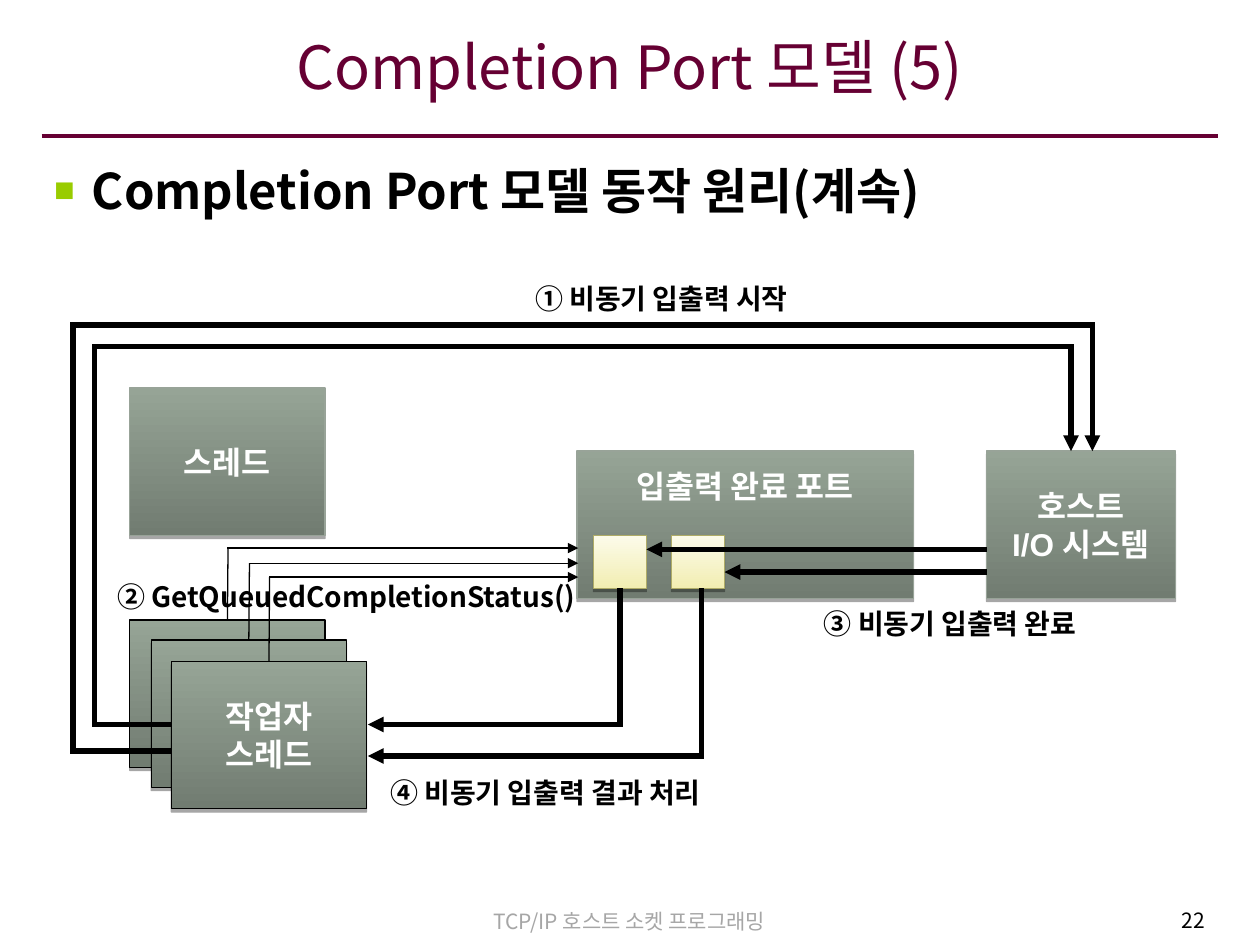
from itertools import pairwise

from lxml import etree
from pptx import Presentation
from pptx.dml.color import RGBColor
from pptx.enum.shapes import MSO_CONNECTOR, MSO_SHAPE
from pptx.enum.text import MSO_ANCHOR, PP_ALIGN
from pptx.oxml.ns import qn
from pptx.util import Inches, Pt

RECTANGLE, STRAIGHT = MSO_SHAPE.RECTANGLE, MSO_CONNECTOR.STRAIGHT
TOP, MIDDLE = MSO_ANCHOR.TOP, MSO_ANCHOR.MIDDLE
LEFT, CENTER, RIGHT = PP_ALIGN.LEFT, PP_ALIGN.CENTER, PP_ALIGN.RIGHT
TOP_SIDE, BOTTOM_SIDE = 0, 2
SANS = "Noto Sans CJK KR"
COLORS = {
    "maroon": "660033", "black": "000000", "white": "FFFFFF", "gray": "A6A6A6",
    "bullet": "99CC00", "box_dark": "717C71", "box_light": "96A496", "box_line": "98A398",
    "slot_dark": "F2EEB2", "slot_light": "FCFBEA", "slot_line": "AFAC67",
}


def color(name):
    return RGBColor.from_string(COLORS[name])


def write_text(shape, text, size=16, font=SANS, ink="black", bold=False, align=CENTER,
               anchor=MIDDLE, wrap=False, margins=(0.1, 0.05, 0.1, 0.05)):
    frame = shape.text_frame
    frame.text = text
    frame.word_wrap = wrap
    frame.vertical_anchor = anchor
    (frame.margin_left, frame.margin_top,
     frame.margin_right, frame.margin_bottom) = [Inches(margin) for margin in margins]
    for paragraph in frame.paragraphs:
        paragraph.alignment = align
        for run in paragraph.runs:
            run.font.size = Pt(size)
            run.font.name = font
            run.font.bold = bold
            run.font.color.rgb = color(ink)
            run.font._element.set("kern", "0")
            etree.SubElement(run.font._element, qn("a:ea"), typeface=SANS)


presentation = Presentation()
presentation.slide_width, presentation.slide_height = Inches(10), Inches(7.5)
slide = presentation.slides.add_slide(presentation.slide_layouts[1])
shapes = slide.shapes

# Title and heading
title, body = shapes.title, slide.placeholders[1]
for placeholder, top, height in [(title, 0.15, 0.85), (body, 1.22, 5.86)]:
    placeholder.left, placeholder.top = Inches(0.33), Inches(top)
    placeholder.width, placeholder.height = Inches(9.33), Inches(height)
write_text(title, "Completion Port 모델 (5)", size=34, ink="maroon", wrap=True,
           margins=(0.08, 0.05, 0.08, 0.16))
write_text(body, "Completion Port 모델 동작 원리(계속)", size=28, bold=True, align=LEFT,
           anchor=TOP, wrap=True)
heading = body.text_frame.paragraphs[0]
heading.space_before = Pt(7)
properties = heading._p.get_or_add_pPr()
properties.set("marL", str(Inches(0.3)))
properties.set("indent", str(Inches(-0.3)))
bullet_color = etree.SubElement(properties, qn("a:buClr"))
etree.SubElement(bullet_color, qn("a:srgbClr"), val=COLORS["bullet"])
etree.SubElement(properties, qn("a:buSzPct"), val="70000")
etree.SubElement(properties, qn("a:buFont"), typeface="Arial")
etree.SubElement(properties, qn("a:buChar"), char="■")

# Boxes: key, left, top, width, height, palette, outline, text
boxes = {}
for key, left, top, width, height, palette, outline, text in [
    ("thread", 1.03, 3.08, 1.55, 1.17, "box", "box_line", "스레드"),
    ("port", 4.58, 3.58, 2.67, 1.17, "box", "box_line", "입출력 완료 포트"),
    ("system", 7.83, 3.58, 1.5, 1.17, "box", "box_line", "호스트\nI/O 시스템"),
    ("slot 1", 4.71, 4.25, 0.42, 0.42, "slot", "slot_line", ""),
    ("slot 2", 5.33, 4.25, 0.42, 0.42, "slot", "slot_line", ""),
    ("worker 1", 1.03, 4.92, 1.55, 1.17, "box", "black", ""),
    ("worker 2", 1.2, 5.08, 1.55, 1.17, "box", "black", ""),
    ("worker 3", 1.36, 5.25, 1.55, 1.17, "box", "black", "작업자\n스레드"),
]:
    box = shapes.add_shape(RECTANGLE, Inches(left), Inches(top), Inches(width), Inches(height))
    box.fill.gradient()
    box.fill.gradient_angle = 90
    for stop, shade in zip(box.fill.gradient_stops, ("dark", "light")):
        stop.color.rgb = color(f"{palette}_{shade}")
    box.line.color.rgb = color(outline)
    box.line.width = Pt(0.75)
    box.shadow.inherit = False
    effects = box._element.spPr.find(qn("a:effectLst"))
    shadow = etree.SubElement(effects, qn("a:outerShdw"), blurRad="0", dist=str(Pt(1.8)),
                              dir="5400000", rotWithShape="0")
    shadow_color = etree.SubElement(shadow, qn("a:srgbClr"), val=COLORS["black"])
    etree.SubElement(shadow_color, qn("a:alpha"), val="35000")
    if text:
        is_port = key == "port"
        write_text(box, text, size=18, font="Arial", ink="white", bold=True,
                   anchor=TOP if is_port else MIDDLE,
                   margins=(0.1, 0.13 if is_port else 0.05, 0.1, 0.05))
    boxes[key] = box

# Routes: points, line width, arrow, colour, starting box and side
routes = [
    ([(0.33, 1.08), (9.67, 1.08)], 2.25, False, "maroon", None),
    ([(1.36, 5.96), (0.58, 5.96), (0.58, 2.58), (8.67, 2.58), (8.67, 3.58)],
     3, True, "black", None),
    ([(1.36, 5.75), (0.75, 5.75), (0.75, 2.75), (8.5, 2.75), (8.5, 3.58)],
     3, True, "black", None),
    ([(7.83, 4.36), (5.13, 4.36)], 3, True, "black", None),
    ([(7.83, 4.54), (5.75, 4.54)], 3, True, "black", None),
    ([(4.92, 4.67), (4.92, 5.75), (2.92, 5.75)], 3, True, "black", ("slot 1", BOTTOM_SIDE)),
    ([(5.57, 4.67), (5.57, 6), (2.92, 6)], 3, True, "black", None),
]
for number, (x, start, level) in enumerate(
        [(1.81, 4.92, 4.35), (1.98, 5.08, 4.47), (2.14, 5.25, 4.58)], 1):
    routes.append(([(x, start), (x, level), (4.59, level)], 0.75, True, "black",
                   (f"worker {number}", TOP_SIDE)))
for points, width, arrow, ink, origin in routes:
    for index, (begin, end) in enumerate(pairwise(points)):
        connector = shapes.add_connector(STRAIGHT, *[Inches(value) for value in begin + end])
        if origin and index == 0:
            connector.begin_connect(boxes[origin[0]], origin[1])
        connector.line.color.rgb = color(ink)
        connector.line.width = Pt(width)
        line = connector.line._get_or_add_ln()
        if index > 0:
            line.set("cap", "sq")
        if arrow and index == len(points) - 2:
            etree.SubElement(line, qn("a:tailEnd"), type="triangle")
        etree.SubElement(connector._element.spPr, qn("a:effectLst"))

# Step labels and footer
step = {"bold": True, "margins": (0, 0.05, 0, 0.05)}
for text, left, top, width, height, style in [
    ("① 비동기 입출력 시작", 4, 2.16, 2.5, 0.42, step),
    ("② GetQueuedCompletionStatus()", 0.85, 4.6, 3.8, 0.26, step),
    ("③ 비동기 입출력 완료", 6.25, 4.74, 2.58, 0.42, step),
    ("④ 비동기 입출력 결과 처리", 2.98, 6.16, 2.7, 0.25, step),
    ("TCP/IP 호스트 소켓 프로그래밍", 2.87, 7.16, 4.25, 0.3,
     {"size": 12, "ink": "gray", "anchor": TOP, "wrap": True}),
    ("22", 7.54, 7.15, 2.12, 0.33, {"size": 12, "align": RIGHT, "anchor": TOP, "wrap": True}),
]:
    label = shapes.add_textbox(Inches(left), Inches(top), Inches(width), Inches(height))
    write_text(label, text, **style)

presentation.save("out.pptx")
